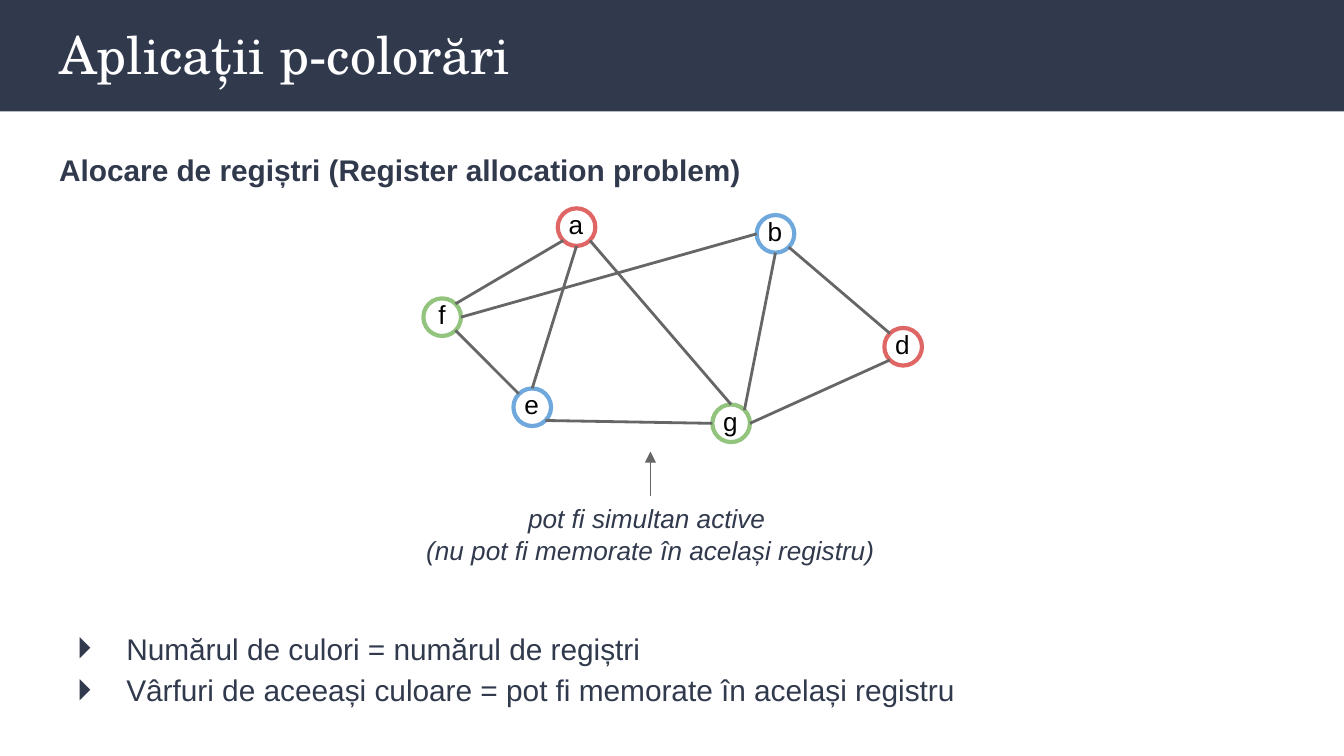
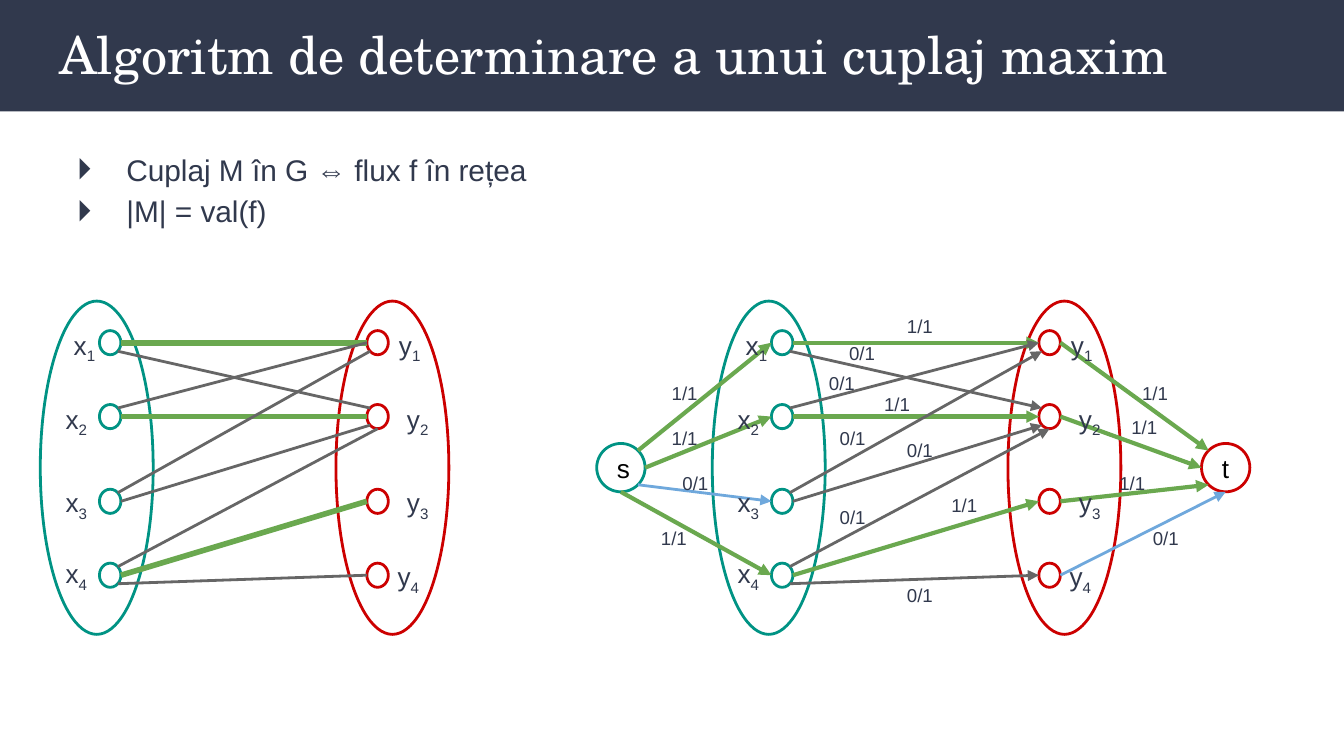
import math

import pptx
import pptx.dml.color
import pptx.enum.shapes
import pptx.enum.text
import pptx.oxml
import pptx.oxml.ns
import pptx.util

Inches, Pt = pptx.util.Inches, pptx.util.Pt
rgb = pptx.dml.color.RGBColor.from_string
MSO_SHAPE = pptx.enum.shapes.MSO_SHAPE
ANCHOR = pptx.enum.text.MSO_ANCHOR
ALIGN = pptx.enum.text.PP_ALIGN

NAVY, WHITE, BLACK, GREY = "31394D", "FFFFFF", "000000", "666666"
GREEN, BLUE, TEAL, RED = "6AA84F", "6FA8DC", "009384", "CC0000"
CORAL, LIGHT_GREEN = "E06666", "93C47D"
SANS, SERIF = "Arial", "TeX Gyre Schola"
NS = pptx.oxml.ns.nsdecls("a")

# Connection sites of an ellipse, counter-clockwise from the top
TOP, TOP_LEFT, LEFT, BOTTOM_LEFT, BOTTOM, BOTTOM_RIGHT, RIGHT, TOP_RIGHT = range(8)


def ellipse(s, x, y, w, h, colour, width, text="", insets=(0.1, 0.1, 0.1, 0.1)):
    """Draw an outlined ellipse and return its eight connection sites in inches."""
    sp = s.shapes.add_shape(MSO_SHAPE.OVAL, Inches(x), Inches(y), Inches(w), Inches(h))
    sp.shadow.inherit = False
    sp.fill.background()
    sp.line.color.rgb = rgb(colour)
    sp.line.width = Pt(width)
    if text:
        tf = sp.text_frame
        tf.margin_left, tf.margin_top, tf.margin_right, tf.margin_bottom = map(Inches, insets)
        tf.vertical_anchor = ANCHOR.MIDDLE
        p = tf.paragraphs[0]
        p.text = text
        p.alignment = ALIGN.LEFT
        font = p.runs[0].font
        font.size, font.name, font.color.rgb = Pt(14), SANS, rgb(BLACK)
    angles = [math.radians(45 * i) for i in range(8)]
    return [(x + w / 2 * (1 - math.sin(a)), y + h / 2 * (1 - math.cos(a))) for a in angles]


def link(s, start, end, colour=GREY, width=1.5, arrow=False):
    """Draw a straight line between two points in inches."""
    cx = s.shapes.add_connector(pptx.enum.shapes.MSO_CONNECTOR.STRAIGHT,
                                *map(Inches, start + end))
    cx.line.color.rgb = rgb(colour)
    cx.line.width = Pt(width)
    if arrow:
        cx.line._get_or_add_ln().append(pptx.oxml.parse_xml(f'<a:tailEnd {NS} type="triangle"/>'))
    cx._element.spPr.append(pptx.oxml.parse_xml(f"<a:effectLst {NS}/>"))


prs = pptx.Presentation()
prs.slide_width = Inches(10)
prs.slide_height = prs.slide_width * 9 // 16
layout = prs.slide_layouts[1]

# Titles and lists: (text, bulleted, points before)
contents = [
    ("Aplicații p-colorări", 4.48, [
        ("Alocare de regiștri (Register allocation problem)", False, 0),
        ("Numărul de culori = numărul de regiștri", True, 234.5),
        ("Vârfuri de aceeași culoare = pot fi memorate în același registru", True, 0)]),
    ("Algoritm de determinare a unui cuplaj maxim", 4.11, [
        ("Cuplaj M în G ⇔ flux f în rețea", True, 0),
        ("|M| = val(f)", True, 0)]),
]
slides = []
for title, body_height, items in contents:
    s = prs.slides.add_slide(layout)
    slides.append(s)
    heading, body = s.placeholders[0], s.placeholders[1]
    for sp, top, height, anchor in ((heading, 0.06, 0.68, ANCHOR.MIDDLE),
                                    (body, 0.99, body_height, ANCHOR.TOP)):
        sp.left, sp.top, sp.width, sp.height = map(Inches, (0.34, top, 9.32, height))
        tf = sp.text_frame
        tf.auto_size = pptx.enum.text.MSO_AUTO_SIZE.NONE
        tf.word_wrap = True
        tf.vertical_anchor = anchor
        tf.margin_left = tf.margin_top = tf.margin_right = tf.margin_bottom = Inches(0.1)

    p = heading.text_frame.paragraphs[0]
    p.text = title
    p.alignment = ALIGN.LEFT
    font = p.runs[0].font
    font.size, font.name, font.color.rgb = Pt(28), SERIF, rgb(WHITE)

    body.text_frame.text = "\n".join(text for text, _, _ in items)
    for p, (_, bulleted, before) in zip(body.text_frame.paragraphs, items):
        pPr = p._p.get_or_add_pPr()
        pPr.set("marL", str(Inches(0.5 if bulleted else 0)))
        pPr.set("indent", str(Inches(-0.37 if bulleted else 0)))
        if bulleted:
            pPr.append(pptx.oxml.parse_xml(f'<a:buClr {NS}><a:srgbClr val="{NAVY}"/></a:buClr>'))
            pPr.append(pptx.oxml.parse_xml(f'<a:buChar {NS} char="⏵"/>'))
        else:
            pPr.append(pptx.oxml.parse_xml(f"<a:buNone {NS}/>"))
        p.line_spacing = 1.15
        p.space_before = Pt(before)
        font = p.runs[0].font
        font.size, font.name, font.color.rgb = Pt(16), SANS, rgb(NAVY)
        font.bold = not bulleted

# Title band, shared through the layout
band = slides[0].shapes.add_shape(MSO_SHAPE.RECTANGLE, 0, 0, prs.slide_width, Inches(0.83))
band.shadow.inherit = False
band.fill.solid()
band.fill.fore_color.rgb = rgb(NAVY)
band.line.fill.background()
band._element.nvSpPr.cNvPr.set("id", "20")
layout.shapes._spTree.insert(2, band._element)

# Slide 1: coloured interference graph
s = slides[0]
vertices = [
    ("a", 4.15, 1.55, CORAL), ("d", 6.58, 2.44, CORAL), ("b", 5.63, 1.6, BLUE),
    ("e", 3.82, 2.89, BLUE), ("f", 3.15, 2.22, LIGHT_GREEN), ("g", 5.3, 3.01, LIGHT_GREEN),
]
sites = {}
for name, x, y, colour in vertices:
    inset = 0.07 if name == "f" else 0.04
    sites[name] = ellipse(s, x, y, 0.28, 0.28, colour, 2.25, name, (inset, 0, 0, 0.04))
for u, u_site, v, v_site in [
    ("f", TOP_RIGHT, "a", BOTTOM_LEFT), ("f", RIGHT, "b", LEFT),
    ("f", BOTTOM_RIGHT, "e", TOP_LEFT), ("a", BOTTOM, "e", TOP),
    ("a", BOTTOM_RIGHT, "g", TOP), ("e", BOTTOM_RIGHT, "g", LEFT),
    ("g", RIGHT, "d", BOTTOM_LEFT), ("b", BOTTOM_RIGHT, "d", TOP_LEFT),
    ("b", BOTTOM, "g", TOP_RIGHT),
]:
    link(s, sites[u][u_site], sites[v][v_site])
link(s, (4.84, 3.69), (4.84, 3.36), width=0.75, arrow=True)

caption = s.shapes.add_textbox(Inches(3.03), Inches(3.64), Inches(3.62), Inches(0.67))
tf = caption.text_frame
tf.word_wrap = True
tf.margin_left = tf.margin_top = tf.margin_right = tf.margin_bottom = Inches(0.1)
tf.text = "pot fi simultan active \n(nu pot fi memorate în același registru)"
for p in tf.paragraphs:
    p.alignment = ALIGN.CENTER
    font = p.runs[0].font
    font.size, font.name, font.color.rgb, font.italic = Pt(14), SANS, rgb(NAVY), True

# Slide 2: bipartite graph on the left, flow network on the right
s = slides[1]
node_tops = [2.46, 3.01, 3.64, 4.19]
matching = [  # x index, site, y index, site, line colour
    (0, RIGHT, 0, LEFT, GREEN), (0, BOTTOM_RIGHT, 1, TOP_LEFT, GREY),
    (1, TOP_RIGHT, 0, LEFT, GREY), (1, RIGHT, 1, LEFT, GREEN),
    (2, TOP_RIGHT, 0, BOTTOM_LEFT, GREY), (2, RIGHT, 1, BOTTOM_LEFT, GREY),
    (3, TOP_RIGHT, 1, BOTTOM, GREY), (3, RIGHT, 2, LEFT, GREEN),
    (3, BOTTOM_RIGHT, 3, LEFT, GREY),
]
labels = []  # text, subscript, left, top, width, height, size
for x0, directed in ((0, False), (5, True)):
    ellipse(s, x0 + 0.3, 2.24, 0.84, 2.48, TEAL, 1.5)
    ellipse(s, x0 + 2.5, 2.24, 0.84, 2.48, RED, 1.5)
    xs = [ellipse(s, x0 + 0.74, top, 0.16, 0.18, TEAL, 1.5) for top in node_tops]
    ys = [ellipse(s, x0 + 2.73, top, 0.16, 0.18, RED, 1.5) for top in node_tops]
    for i, x_site, j, y_site, colour in matching:
        width = 1.5 if colour == GREY else 2.25 if directed else 3
        link(s, xs[i][x_site], ys[j][y_site], colour, width, directed)
    for name, lefts, tops in (("x", (0.45, 0.39, 0.39, 0.39), (2.35, 2.9, 3.52, 4.05)),
                              ("y", (2.87, 2.93, 2.93, 2.86), (2.35, 2.9, 3.52, 4.07))):
        for i, (left, top) in enumerate(zip(lefts, tops), 1):
            labels.append((name, str(i), x0 + left, top, 0.36, 0.44, 14))

# Source and sink join the nodes of the right-hand graph
source = ellipse(s, 4.44, 3.3, 0.36, 0.36, TEAL, 1.5, "s")
sink = ellipse(s, 8.94, 3.3, 0.36, 0.36, RED, 1.5, "t")
for i, source_site, colour in ((0, TOP_RIGHT, GREEN), (1, RIGHT, GREEN),
                               (3, BOTTOM, GREEN), (2, BOTTOM_RIGHT, BLUE)):
    link(s, source[source_site], xs[i][LEFT], colour, 2.25 if colour == GREEN else 1.5, True)
for i, sink_site, colour in ((0, TOP_LEFT, GREEN), (1, LEFT, GREEN),
                             (2, BOTTOM_LEFT, GREEN), (3, BOTTOM, BLUE)):
    link(s, ys[i][RIGHT], sink[sink_site], colour, 2.25 if colour == GREEN else 1.5, True)

flows = {
    "0/1": [(6.22, 2.46), (6.07, 2.68), (6.15, 3.09), (6.65, 3.18),
            (6.15, 3.68), (6.65, 4.26), (4.98, 3.43), (8.48, 3.84)],
    "1/1": [(4.9, 2.76), (4.9, 3.09), (4.82, 3.84), (6.98, 3.59), (6.48, 2.84),
            (6.65, 2.26), (8.4, 2.76), (8.32, 3.01), (8.23, 3.43)],
}
for flow, places in flows.items():
    labels += [(flow, "", left, top, 0.53, 0.37, 10) for left, top in places]

for text, subscript, left, top, width, height, size in labels:
    tb = s.shapes.add_textbox(Inches(left), Inches(top), Inches(width), Inches(height))
    tf = tb.text_frame
    tf.word_wrap = not subscript
    tf.margin_left = tf.margin_top = tf.margin_right = tf.margin_bottom = Inches(0.1)
    p = tf.paragraphs[0]
    p.text = text
    if subscript:
        r = p.add_run()
        r.text = subscript
        r._r.get_or_add_rPr().set("baseline", "-25000")
    for r in p.runs:
        r.font.size, r.font.name, r.font.color.rgb = Pt(size), SANS, rgb(NAVY)

prs.save("out.pptx")
